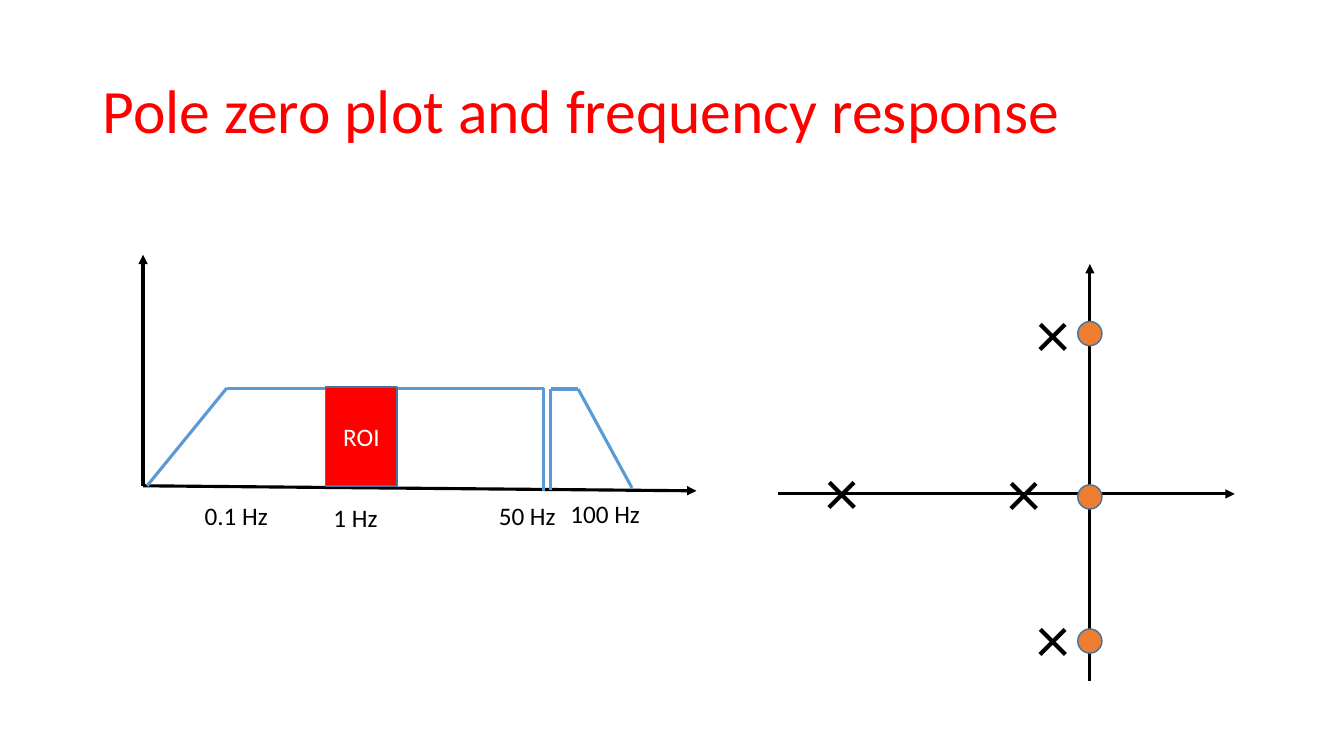
from dataclasses import dataclass
from itertools import pairwise

from lxml import etree
from pptx import Presentation
from pptx.dml.color import RGBColor
from pptx.enum import shapes, text
from pptx.oxml import ns
from pptx.util import Pt


@dataclass(frozen=True)
class Theme:
    font: str = "Calibri"
    red: RGBColor = RGBColor(0xFF, 0x00, 0x00)
    black: RGBColor = RGBColor(0x00, 0x00, 0x00)
    white: RGBColor = RGBColor(0xFF, 0xFF, 0xFF)
    curve: RGBColor = RGBColor(0x5B, 0x9B, 0xD5)
    outline: RGBColor = RGBColor(0x43, 0x73, 0x9E)
    zero: RGBColor = RGBColor(0xED, 0x7D, 0x31)
    title_size: float = 44
    label_size: float = 18
    pole_size: float = 48
    line_width: float = 2.25
    outline_width: float = 1


THEME = Theme()


def style_paragraph(paragraph, size, color, alignment=text.PP_ALIGN.LEFT):
    paragraph.alignment = alignment
    paragraph.font.name = THEME.font
    paragraph.font.size = Pt(size)
    paragraph.font.color.rgb = color


def set_title(slide, words):
    title = slide.shapes.title
    title.left, title.top, title.width, title.height = Pt(66), Pt(28.8), Pt(828), Pt(104.4)
    frame = title.text_frame
    frame.text = words
    frame.auto_size = text.MSO_AUTO_SIZE.NONE
    frame.vertical_anchor = text.MSO_ANCHOR.MIDDLE
    paragraph = frame.paragraphs[0]
    paragraph.line_spacing = 0.9
    style_paragraph(paragraph, THEME.title_size, THEME.red)


def add_line(container, start, end, color):
    line = container.add_connector(
        shapes.MSO_CONNECTOR.STRAIGHT, *(Pt(value) for value in (*start, *end)))
    line.line.color.rgb = color
    line.line.width = Pt(THEME.line_width)
    etree.SubElement(line.element.spPr, ns.qn("a:effectLst"))
    return line


def add_axis(container, start, end):
    axis = add_line(container, start, end, THEME.black)
    outline = axis.line._get_or_add_ln()
    etree.SubElement(outline, ns.qn("a:tailEnd"), type="triangle")


def add_text(container, words, left, top, width, height, size):
    box = container.add_textbox(Pt(left), Pt(top), Pt(width), Pt(height))
    frame = box.text_frame
    frame.word_wrap = True
    frame.auto_size = text.MSO_AUTO_SIZE.SHAPE_TO_FIT_TEXT
    frame.text = words
    style_paragraph(frame.paragraphs[0], size, THEME.black)


def add_filled_shape(container, kind, left, top, width, height, fill):
    shape = container.add_shape(kind, Pt(left), Pt(top), Pt(width), Pt(height))
    shape.shadow.inherit = False
    shape.fill.solid()
    shape.fill.fore_color.rgb = fill
    shape.line.color.rgb = THEME.outline
    shape.line.width = Pt(THEME.outline_width)
    return shape


def add_frequency_response(slide):
    plot = slide.shapes.add_group_shape().shapes
    origin = (102.2, 347)
    add_axis(plot, origin, (102.2, 182))
    add_axis(plot, origin, (497.5, 350.6))

    below_notch = [(105.1, 347), (162, 277.2), (388.4, 277.2), (388.4, 350.6)]
    above_notch = [(393.4, 350), (393.4, 277.9), (413, 277.9), (451.4, 348.5)]
    for curve in (below_notch, above_notch):
        for start, end in pairwise(curve):
            add_line(plot, start, end, THEME.curve)

    for words, left, top, width in (
        ("0.1 Hz", 139, 354.2, 87.8),
        ("1 Hz", 231.1, 355, 79.2),
        ("50 Hz", 349.2, 353.5, 55.4),
        ("100 Hz", 400.3, 352.1, 69.8),
    ):
        add_text(plot, words, left, top, width, 28.8, THEME.label_size)

    region = add_filled_shape(
        plot, shapes.MSO_SHAPE.RECTANGLE, 232.6, 276.5, 51.1, 70.6, THEME.red)
    frame = region.text_frame
    frame.text = "ROI"
    frame.vertical_anchor = text.MSO_ANCHOR.MIDDLE
    style_paragraph(
        frame.paragraphs[0], THEME.label_size, THEME.white, text.PP_ALIGN.CENTER)


def add_pole_zero_plot(slide):
    imaginary_x, real_y = 778.5, 352.8
    add_axis(slide.shapes, (imaginary_x, 486.7), (imaginary_x, 188.6))
    add_axis(slide.shapes, (555.8, real_y), (882, real_y))

    diameter = 17.3
    for center_y in (238.3, 355, 457.9):
        add_filled_shape(
            slide.shapes, shapes.MSO_SHAPE.OVAL, imaginary_x - diameter / 2,
            center_y - diameter / 2, diameter, diameter, THEME.zero)

    for left, top in ((582.5, 317.5), (712.8, 318.2), (733, 204.5), (733, 422.6)):
        add_text(slide.shapes, "×", left, top, 58.3, 65.5, THEME.pole_size)


def main():
    presentation = Presentation()
    presentation.slide_width, presentation.slide_height = Pt(960), Pt(540)
    title_only = presentation.slide_layouts[5]
    slide = presentation.slides.add_slide(title_only)
    set_title(slide, "Pole zero plot and frequency response")
    add_frequency_response(slide)
    add_pole_zero_plot(slide)
    presentation.save("out.pptx")


if __name__ == "__main__":
    main()
